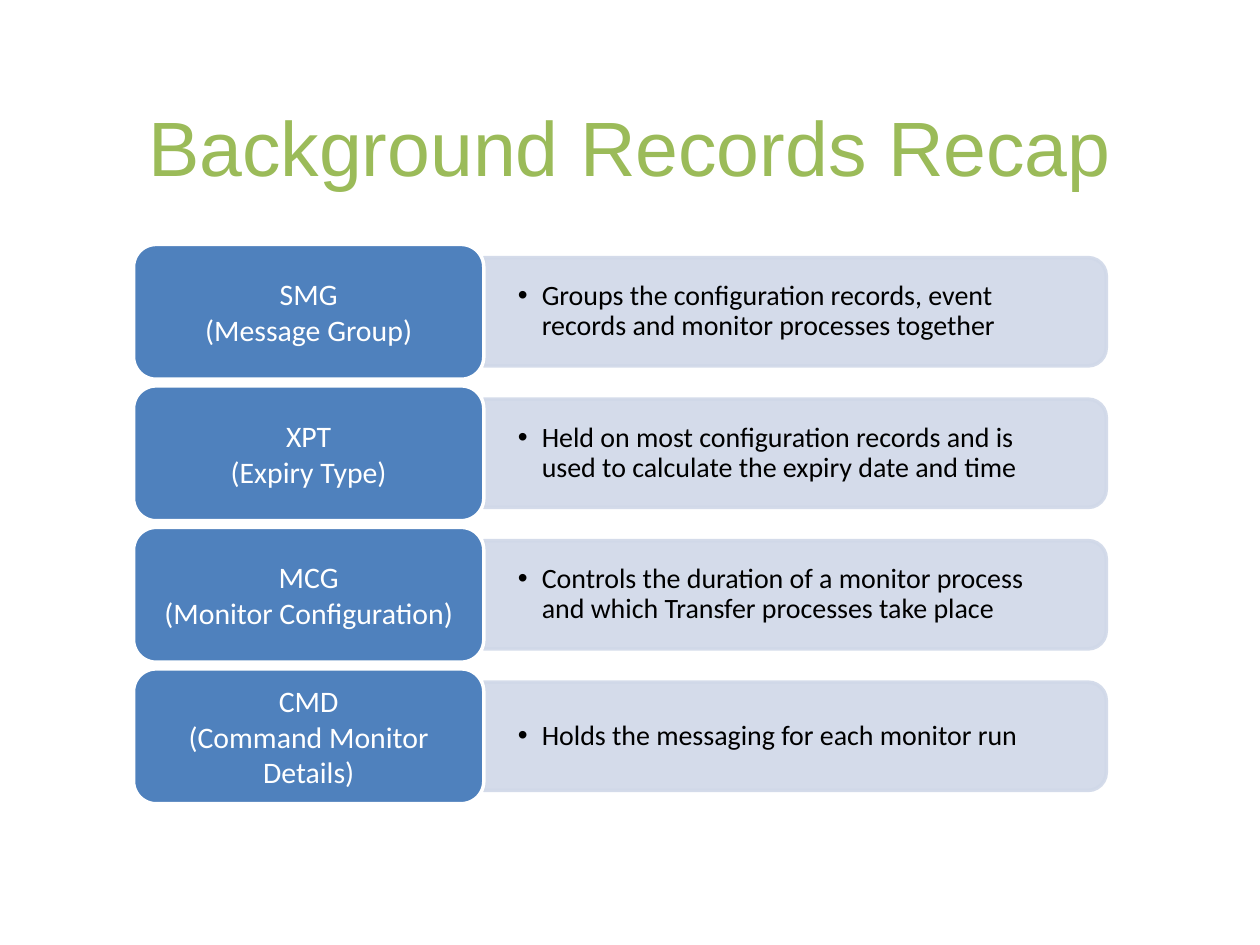
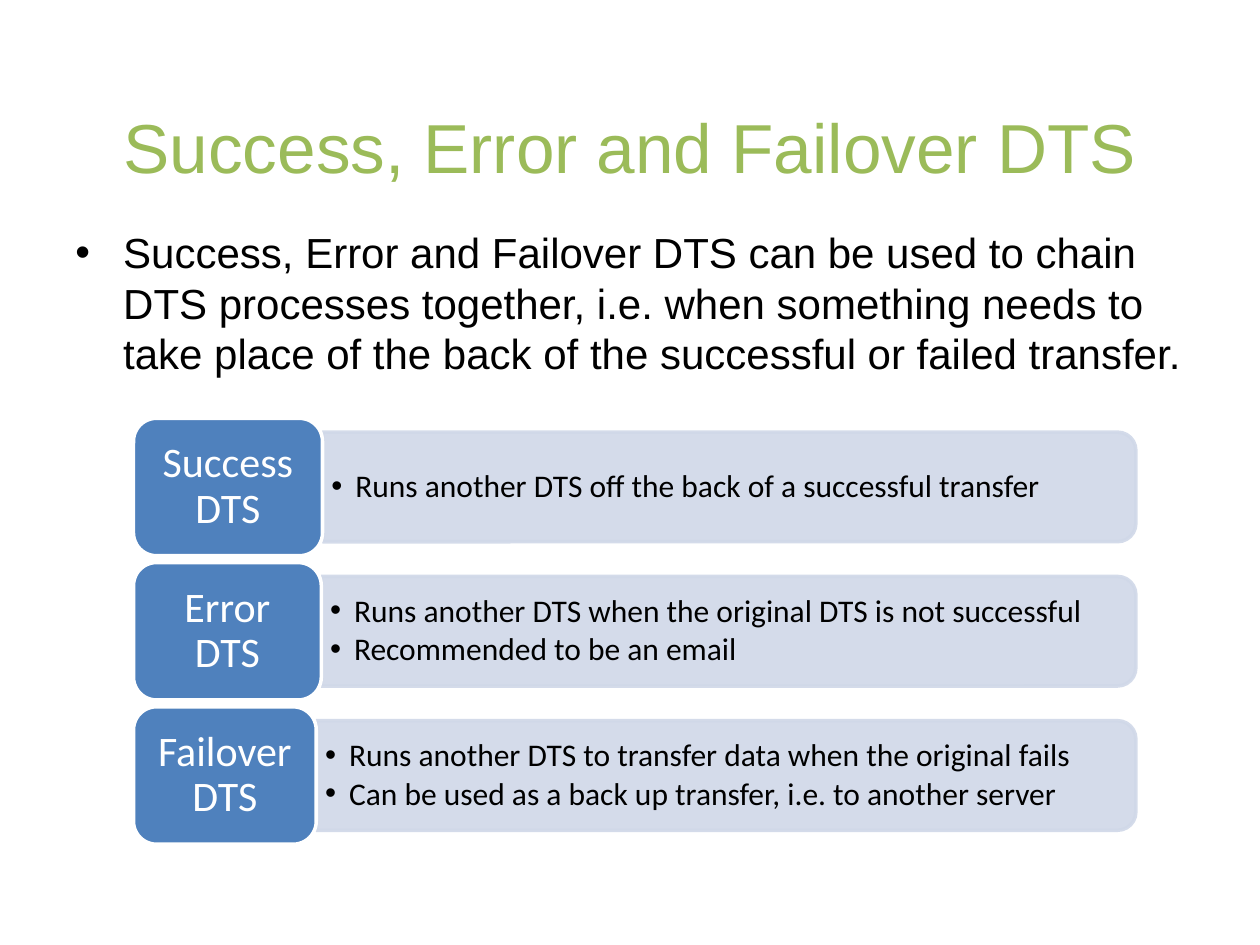
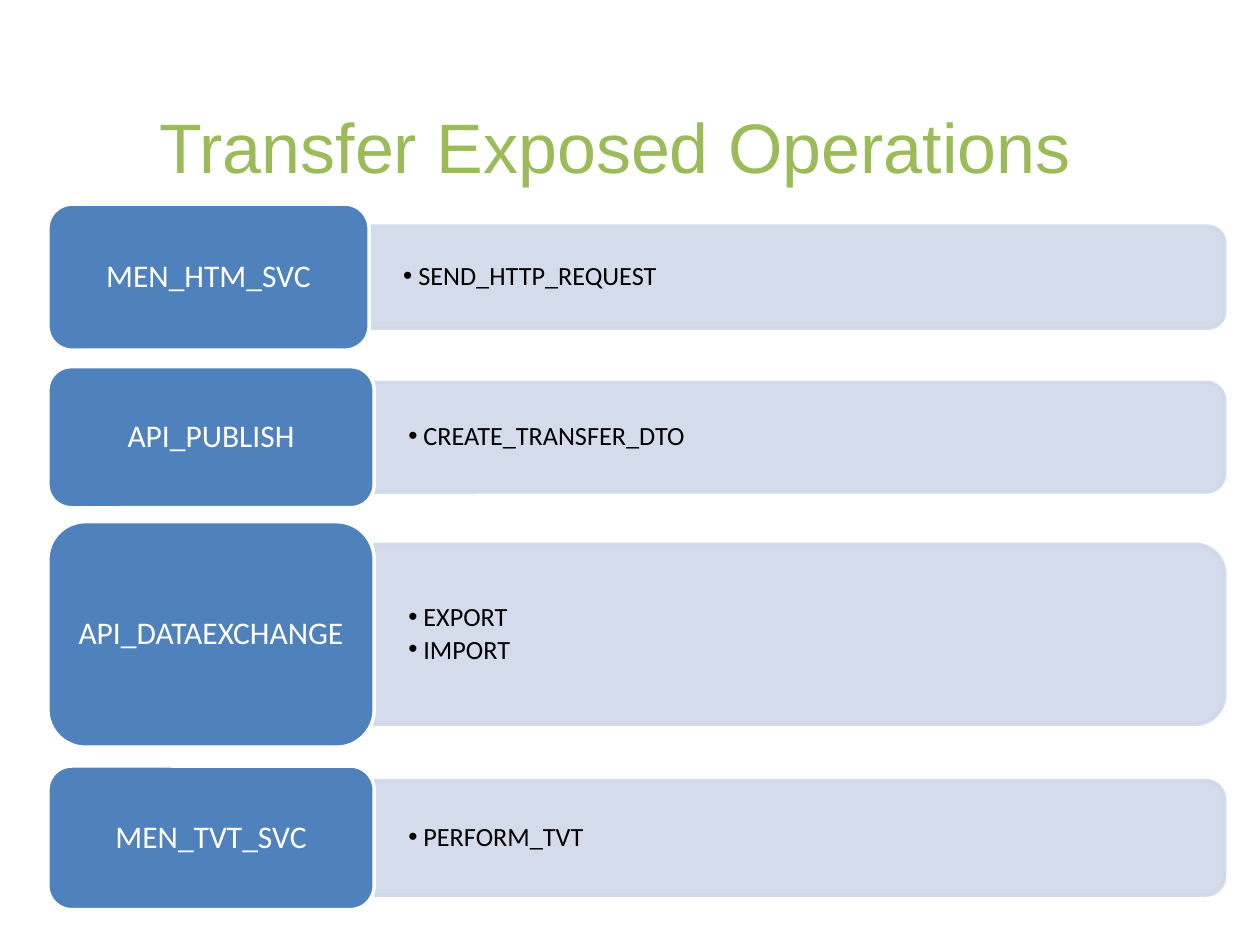
import dataclasses
import pptx
import pptx.dml.color
import pptx.enum.shapes
import pptx.enum.text
import pptx.oxml
import pptx.oxml.ns
import pptx.util

Kind = pptx.enum.shapes.MSO_SHAPE
Align = pptx.enum.text.PP_ALIGN
Anchor = pptx.enum.text.MSO_ANCHOR
Pt = pptx.util.Pt


@dataclasses.dataclass(frozen=True)
class Theme:
    head: str = "9BBB59"
    label: str = "4F81BD"
    band: str = "D0D8E8"
    white: str = "FFFFFF"
    ink: str = "000000"
    alpha: int = 90000
    edge: float = 2
    sans: str = "Arial"
    soft: str = "Calibri"
    body: float = 24


theme = Theme()
colour = pptx.dml.color.RGBColor.from_string

deck = pptx.Presentation()
deck.slide_width = pptx.util.Inches(10)
deck.slide_height = pptx.util.Inches(7.5)
cell = deck.slide_width // 100  # grid of 100 columns and 75 rows


def place(*sizes):
    """Turn grid columns and rows into slide lengths."""
    return [round(size * cell) for size in sizes]


def write(shape, text, font, size, ink, anchor=Anchor.MIDDLE, inset=(1, 0.5),
          hang=0, level=0, line=None, before=0, after=0):
    """Fill a shape with text, one paragraph a line; a hang makes bullets."""
    frame = shape.text_frame
    frame.text = text
    frame.word_wrap = True
    frame.vertical_anchor = anchor
    side, top = place(*inset)
    frame.margin_left = frame.margin_right = side
    frame.margin_top = frame.margin_bottom = top
    for para in frame.paragraphs:
        para.alignment = Align.LEFT if hang else Align.CENTER
        para.level = level
        para.line_spacing = line
        para.space_before = Pt(before * size)
        para.space_after = Pt(after * size)
        if hang:
            props = para._p.get_or_add_pPr()
            indent, = place(hang)
            props.set("marL", str(indent))
            props.set("indent", str(-indent))
            space = pptx.oxml.ns.nsdecls("a")
            for mark in ('buFont %s typeface="Arial"', 'buChar %s char="•"'):
                props.append(pptx.oxml.parse_xml(f"<a:{mark % space}/>"))
        for run in para.runs:
            run.font.name = font
            run.font.size = Pt(size)
            run.font.color.rgb = colour(ink)


# Each row: label, points, top, label width, label height, band height
recap = [
    ("SMG\n(Message Group)",
     "Groups the configuration records, event records and monitor processes together"),
    ("XPT\n(Expiry Type)",
     "Held on most configuration records and is used to calculate the expiry date and time"),
    ("MCG\n(Monitor Configuration)",
     "Controls the duration of a monitor process and which Transfer processes take place"),
    ("CMD\n(Command Monitor Details)",
     "Holds the messaging for each monitor run"),
]
chain = [
    ("Success DTS", "Runs another DTS off the back of a successful transfer", 15),
    ("Error DTS", "Runs another DTS when the original DTS is not successful\n"
     "Recommended to be an email", 14.9),
    ("Failover DTS", "Runs another DTS to transfer data when the original fails\n"
     "Can be used as a back up transfer, i.e. to another server", 14.5),
]
pages = [
    dict(title="Background Records Recap", size=44, shift=5, intro="",
         left=10.6, right=87.8, name=17, note=16, line=None, after=0,
         pad=(0.7, 0.4), inset=(2.7, 1.4), hang=1.9,
         rows=[(name, note, 19.4 + 11.23 * i, 27.8, 10.7, 8.6)
               for i, (name, note) in enumerate(recap)]),
    dict(title="Success, Error and Failover DTS", size=39.6, shift=5,
         intro="Success, Error and Failover DTS can be used to chain DTS processes "
         "together, i.e. when something needs to take place of the back of the "
         "successful or failed transfer.",
         left=10.6, right=90.15, name=24, note=18, line=0.9, after=0.35,
         pad=(1, 0.5), inset=(0.7, 0.4), hang=1.9,
         rows=[(name, note, 33.2 + 11.45 * i, wide, 10.9, 8.7)
               for i, (name, note, wide) in enumerate(chain)]),
    dict(title="Transfer Exposed Operations", size=40, shift=3.8, intro="",
         left=3.8, right=97.2, name=18, note=15, line=0.9, after=0.35,
         pad=(0.7, 0.4), inset=(2.7, 1.4), hang=1.2,
         rows=[("MEN_HTM_SVC", "SEND_HTTP_REQUEST", 16.2, 25.5, 11.6, 8.1),
               ("API_PUBLISH", "CREATE_TRANSFER_DTO", 29.1, 25.9, 11.2, 8.7),
               ("API_DATAEXCHANGE", "EXPORT\nIMPORT", 41.4, 25.9, 17.9, 14.3),
               ("MEN_TVT_SVC", "PERFORM_TVT", 60.8, 25.9, 11.4, 9.1)]),
]

for page in pages:
    slide = deck.slides.add_slide(deck.slide_layouts[6])
    shapes = slide.shapes
    title = shapes.add_textbox(*place(page["shift"], 5.3, 90, 12.5))
    write(title, page["title"], theme.sans, page["size"], theme.head)
    if page["intro"]:
        intro = shapes.add_textbox(*place(5, 17.5, 90, 49.5))
        write(intro, page["intro"], theme.sans, theme.body, theme.ink,
              anchor=Anchor.TOP, hang=3.8, before=0.2)

    for name, note, top, wide, high, thick in page["rows"]:
        start = page["left"] + wide
        span = page["right"] - start
        mid = top + high / 2

        # The band stands upright and is turned about its centre
        band = shapes.add_shape(Kind.ROUND_2_SAME_RECTANGLE, *place(
            start + (span - thick) / 2, mid - span / 2, thick, span))
        band.rotation = 90
        text = shapes.add_textbox(*place(
            start, mid - 0.45 * thick, span - 0.4, 0.9 * thick))
        write(text, note, theme.soft, page["note"], theme.ink,
              inset=page["inset"], hang=page["hang"], level=1, line=0.9, after=0.15)
        label = shapes.add_shape(Kind.ROUNDED_RECTANGLE, *place(
            page["left"], top, wide, high))
        write(label, name, theme.soft, page["name"], theme.white,
              inset=page["pad"], line=page["line"], after=page["after"])

        for box, fill, edge in ((band, theme.band, theme.band),
                                (label, theme.label, theme.white)):
            box.shadow.inherit = False
            box.fill.solid()
            box.fill.fore_color.rgb = colour(fill)
            box.line.color.rgb = colour(edge)
            box.line.width = Pt(theme.edge)
        for tint in band.element.spPr.iter(pptx.oxml.ns.qn("a:srgbClr")):
            alpha = pptx.oxml.parse_xml(
                f'<a:alpha {pptx.oxml.ns.nsdecls("a")} val="{theme.alpha}"/>')
            tint.append(alpha)

deck.save("out.pptx")
